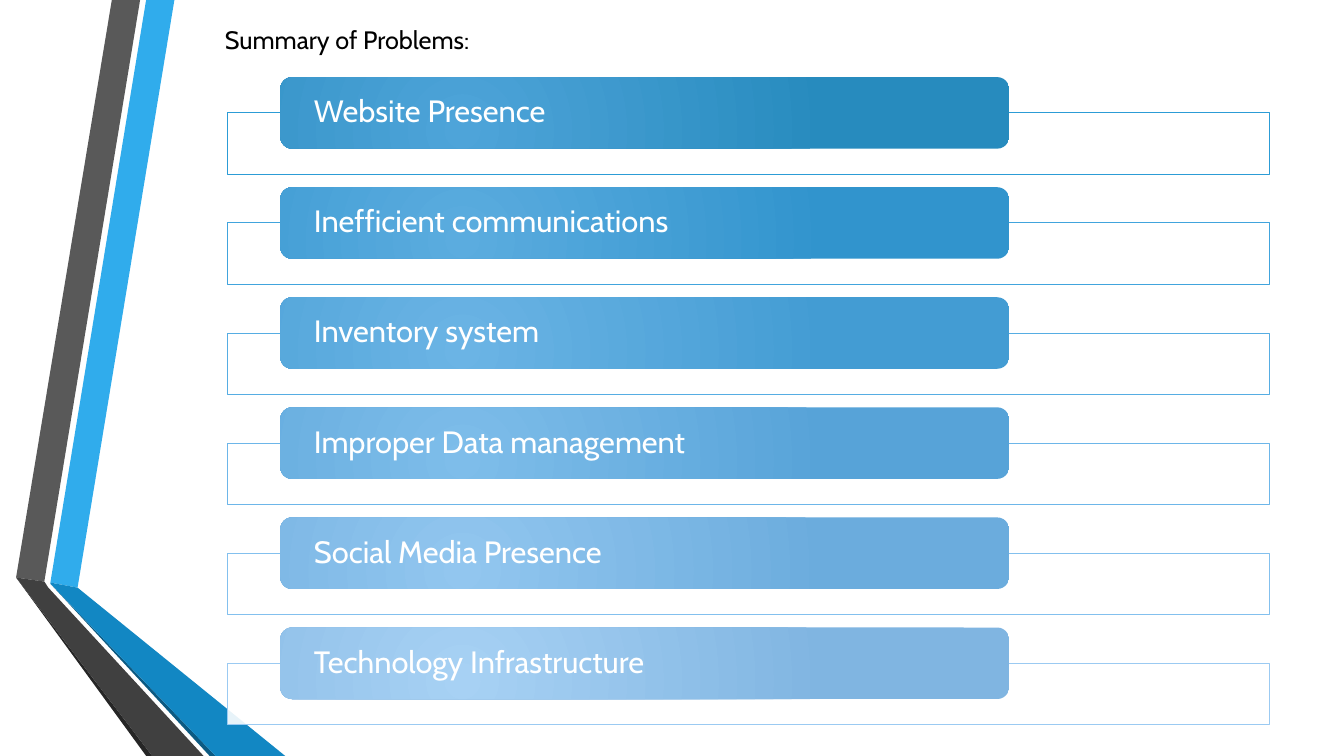
from dataclasses import dataclass

from lxml import etree
from pptx import Presentation
from pptx.dml.color import RGBColor
from pptx.enum.shapes import MSO_SHAPE as Preset
from pptx.enum.text import MSO_ANCHOR as Anchor, MSO_AUTO_SIZE as AutoSize, PP_ALIGN as Align
from pptx.oxml.ns import qn
from pptx.util import Inches, Pt

FONT = "Cabin"

# Row grid: the frames share one pitch, and each bar sits above its frame's top edge
FIRST_FRAME_TOP, LAST_FRAME_TOP = 1.12, 6.58
FRAME_LEFT, FRAME_WIDTH, FRAME_HEIGHT = 2.26, 10.33, 0.61
BAR_LEFT, BAR_WIDTH, BAR_HEIGHT = 2.78, 7.23, 0.71
BAR_RISE = BAR_HEIGHT / 2


@dataclass(frozen=True)
class Ribbon:
    color: str
    points: list[tuple[float, float]]


@dataclass(frozen=True)
class Problem:
    label: str
    outline: str
    glow: str
    edge: str


RIBBONS = [
    Ribbon("30ACEC", [(0.5, 5.78), (0.77, 5.83), (1.73, 0), (1.45, 0)]),
    Ribbon("595959", [(1.39, 0), (1.11, 0), (0.16, 5.73), (0.44, 5.77)]),
    Ribbon("262626", [(0.16, 5.73), (1.45, 7.5), (1.51, 7.5)]),
    Ribbon("0C5A82", [(0.5, 5.79), (2.08, 7.5), (2.14, 7.5)]),
    Ribbon("1287C3", [(0.5, 5.79), (2.14, 7.5), (2.83, 7.5), (0.77, 5.83), (0.5, 5.78)]),
    Ribbon("404040", [(2.02, 7.5), (0.48, 5.83), (0.44, 5.77), (0.16, 5.73), (1.51, 7.5)]),
]

PROBLEMS = [
    Problem("Website Presence", "2C9CD6", "4EA4D9", "278BBE"),
    Problem("Inefficient communications", "41A4DD", "5BACDF", "3194CD"),
    Problem("Inventory system", "56ADE3", "6BB4E5", "439CD3"),
    Problem("Improper Data management", "6DB6E9", "7EBDEA", "57A3D8"),
    Problem("Social Media Presence", "83C0EE", "92C6EF", "6BACDD"),
    Problem("Technology Infrastructure", "9BCAF2", "A7D1F4", "80B5E1"),
]


def color(hex_string: str) -> RGBColor:
    return RGBColor.from_string(hex_string)


def fill_solid(shape, hex_string: str) -> None:
    shape.shadow.inherit = False
    shape.fill.solid()
    shape.fill.fore_color.rgb = color(hex_string)


def fill_radial(shape, glow: str, edge: str) -> None:
    shape.shadow.inherit = False
    shape.fill.gradient()
    for stop, position, hex_string in zip(shape.fill.gradient_stops, (0, 1), (glow, edge)):
        stop.position = position
        stop.color.rgb = color(hex_string)
    # Swap the linear direction for a circular one
    gradient = shape.element.spPr.find(qn("a:gradFill"))
    gradient.remove(gradient.find(qn("a:lin")))
    circle = etree.SubElement(gradient, qn("a:path"), {"path": "circle"})
    etree.SubElement(circle, qn("a:fillToRect"),
                     {"l": "50000", "t": "100000", "r": "100000", "b": "50000"})


def style_text(paragraph, size: float, hex_string: str) -> None:
    paragraph.alignment = Align.LEFT
    paragraph.font.name = FONT
    paragraph.font.size = Pt(size)
    paragraph.font.color.rgb = color(hex_string)


def add_preset(slide, preset: Preset, *box: float):
    return slide.shapes.add_shape(preset, *(Inches(length) for length in box))


def draw_ribbon(slide, ribbon: Ribbon) -> None:
    corners = [(Inches(x), Inches(y)) for x, y in ribbon.points]
    builder = slide.shapes.build_freeform(*corners[0])
    builder.add_line_segments(corners[1:], close=True)
    shape = builder.convert_to_shape()
    fill_solid(shape, ribbon.color)
    shape.line.fill.background()


def draw_problem(slide, problem: Problem, frame_top: float) -> None:
    # Outlined frame, slightly see-through
    frame = add_preset(slide, Preset.RECTANGLE, FRAME_LEFT, frame_top, FRAME_WIDTH, FRAME_HEIGHT)
    fill_solid(frame, "FFFFFF")
    white = frame.element.spPr.find(qn("a:solidFill"))[0]
    etree.SubElement(white, qn("a:alpha"), {"val": "90000"})
    frame.line.color.rgb = color(problem.outline)
    frame.line.width = Pt(0.75)

    # Rounded bar with its label
    bar = add_preset(slide, Preset.ROUNDED_RECTANGLE,
                     BAR_LEFT, frame_top - BAR_RISE, BAR_WIDTH, BAR_HEIGHT)
    fill_radial(bar, problem.glow, problem.edge)
    bar.line.fill.background()
    text_frame = bar.text_frame
    text_frame.word_wrap = True
    text_frame.vertical_anchor = Anchor.MIDDLE
    text_frame.margin_left = text_frame.margin_right = Inches(0.3)
    text_frame.margin_top = text_frame.margin_bottom = 0
    paragraph = text_frame.paragraphs[0]
    paragraph.text = problem.label
    paragraph.line_spacing = 0.9
    style_text(paragraph, 22, "FFFFFF")


def draw_title(slide, text: str) -> None:
    title = slide.shapes.title
    title.left, title.top = Inches(2.13), Inches(0.19)
    title.width, title.height = Inches(8.6), Inches(0.4)
    text_frame = title.text_frame
    text_frame.text = text
    text_frame.word_wrap = True
    text_frame.auto_size = AutoSize.SHAPE_TO_FIT_TEXT
    text_frame.vertical_anchor = Anchor.TOP
    style_text(text_frame.paragraphs[0], 18, "000000")


def main() -> None:
    presentation = Presentation()
    presentation.slide_width = Inches(13.33)
    presentation.slide_height = Inches(7.5)
    slide = presentation.slides.add_slide(presentation.slide_layouts[5])

    draw_title(slide, "Summary of Problems:")
    for ribbon in RIBBONS:
        draw_ribbon(slide, ribbon)
    pitch = (LAST_FRAME_TOP - FIRST_FRAME_TOP) / (len(PROBLEMS) - 1)
    for row, problem in enumerate(PROBLEMS):
        draw_problem(slide, problem, FIRST_FRAME_TOP + row * pitch)

    presentation.save("out.pptx")


if __name__ == "__main__":
    main()
